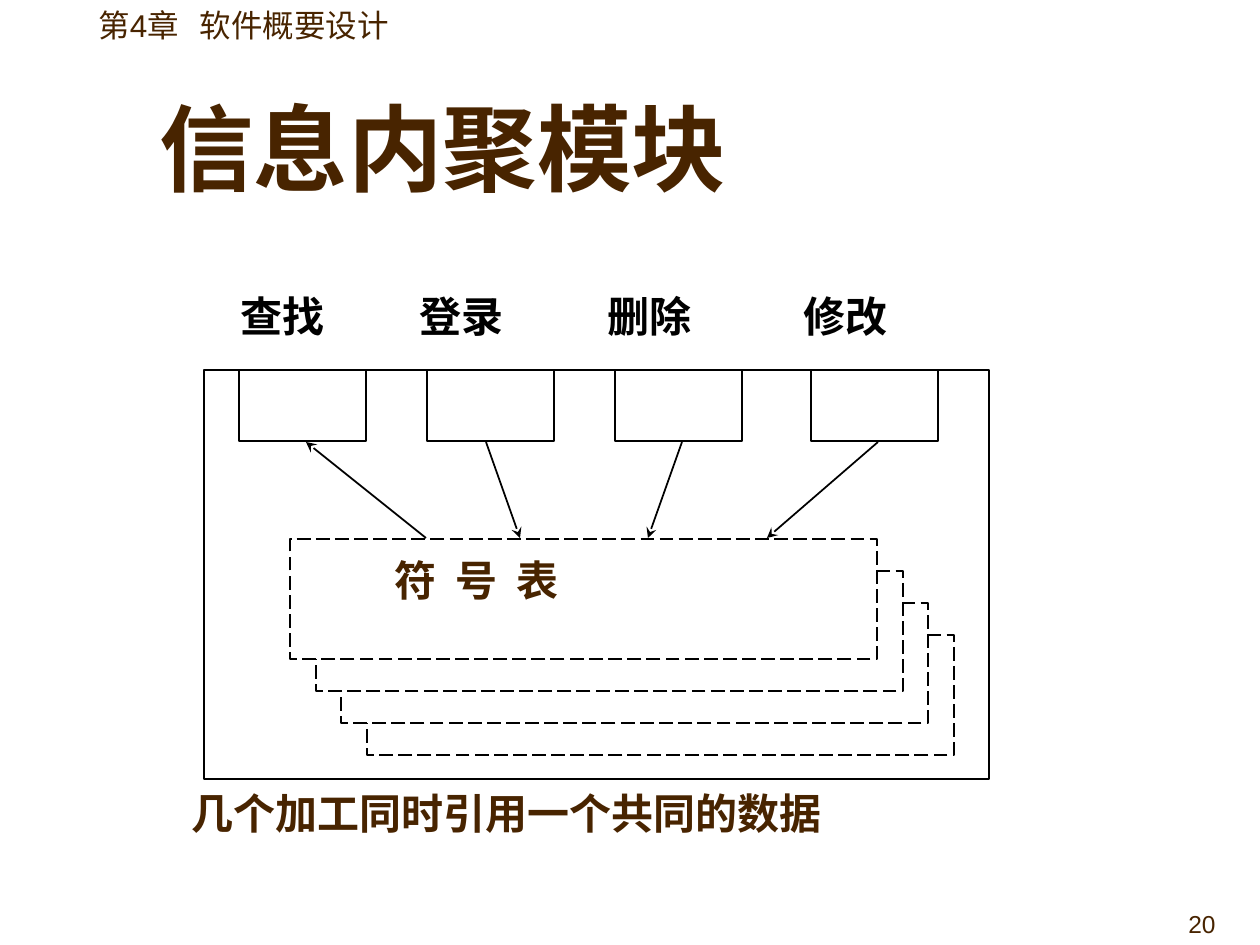
from lxml.etree import SubElement
from pptx import Presentation
from pptx.dml.color import RGBColor
from pptx.enum.dml import MSO_LINE
from pptx.enum.shapes import MSO_CONNECTOR, MSO_SHAPE
from pptx.enum.text import MSO_ANCHOR, PP_ALIGN
from pptx.oxml.ns import qn
from pptx.util import Pt

PX = 914400 / 126
COLORS = {"brown": "482400", "black": "000000", "white": "FFFFFF"}
CJK = "Noto Sans CJK SC"

deck = Presentation()
deck.slide_width, deck.slide_height = round(1260 * PX), round(945 * PX)
slide = deck.slides.add_slide(deck.slide_layouts[6])
shapes = slide.shapes


def add_text(parts, box, size, color="brown", bold=False, wrap=True):
    """Add a one-line text box; parts are (text, latin font, spacing in 1/100 pt)."""
    frame = shapes.add_textbox(*[round(n * PX) for n in box]).text_frame
    frame.word_wrap = wrap
    line = frame.paragraphs[0]
    for text, face, gap in parts:
        run = line.add_run()
        run.text = text
        font = run.font
        font.name, font.size, font.bold = face, Pt(size), bold
        font.color.rgb = RGBColor.from_string(COLORS[color])
        props = font._element
        props.set("spc", str(gap))
        SubElement(props, qn("a:ea")).set("typeface", CJK)
    return frame


def add_box(left, top, width, height, fill=None, dash=None):
    box = shapes.add_shape(MSO_SHAPE.RECTANGLE,
                           *[round(n * PX) for n in (left, top, width, height)])
    box.shadow.inherit = False
    if fill:
        box.fill.solid()
        box.fill.fore_color.rgb = RGBColor.from_string(COLORS[fill])
    else:
        box.fill.background()
    box.line.color.rgb = RGBColor.from_string(COLORS["black"])
    box.line.width = Pt(1)
    if dash:
        box.line.dash_style = dash


# Chapter header and title
head = add_text([("第4章", "Arial", 0), (" ", "Arial", 800),
                 ("软件概要设计", "Times New Roman", 0)],
                (86, 0, 333, 50), 18, wrap=False)
head.vertical_anchor = MSO_ANCHOR.BOTTOM
title = add_text([("信息内聚模块", CJK, 0)], (147, 53, 1071, 157), 54, bold=True)
title.vertical_anchor = MSO_ANCHOR.BOTTOM

# Module frame and the stacked symbol tables, rearmost first
add_box(204, 370, 785, 409)
for step in (3, 2, 1, 0):
    add_box(290 + round(25.7 * step), 539 + 32 * step, 587, 120,
            "white" if step < 3 else None, MSO_LINE.LONG_DASH)
add_text([("符 号 表", CJK, 270)], (382, 548, 454, 63), 24, bold=True)

# Operations: name, label left, box left, arrow at the box, arrow at the table, tip
entries = [
    ("查找", 228, 239, 306, 426, "box"),
    ("登录", 407, 427, 486, 520, "table"),
    ("删除", 595, 615, 682, 648, "table"),
    ("修改", 791, 811, 878, 767, "table"),
]
for name, label, left, upper, lower, tip in entries:
    add_text([(name, CJK, 0)], (label, 284, 198, 63), 24, "black", True)
    add_box(left, 370, 127, 71)
    ends = [(upper, 442), (lower, 538)]
    if tip == "table":
        ends.reverse()
    arrow = shapes.add_connector(MSO_CONNECTOR.STRAIGHT,
                                 *[round(n * PX) for end in ends for n in end])
    arrow.line.color.rgb = RGBColor.from_string(COLORS["black"])
    arrow.line.width = Pt(1)
    SubElement(arrow.line._get_or_add_ln(), qn("a:headEnd")).set("type", "stealth")
    SubElement(arrow._element.spPr, qn("a:effectLst"))

# Caption and slide number
add_text([("几个加工同时引用一个共同的数据", CJK, 0)],
         (179, 781, 914, 63), 24, bold=True)
number = add_text([("20", "Arial", 0)], (966, 882, 262, 63), 14)
number.vertical_anchor = MSO_ANCHOR.BOTTOM
number.paragraphs[0].alignment = PP_ALIGN.RIGHT

deck.save("out.pptx")
